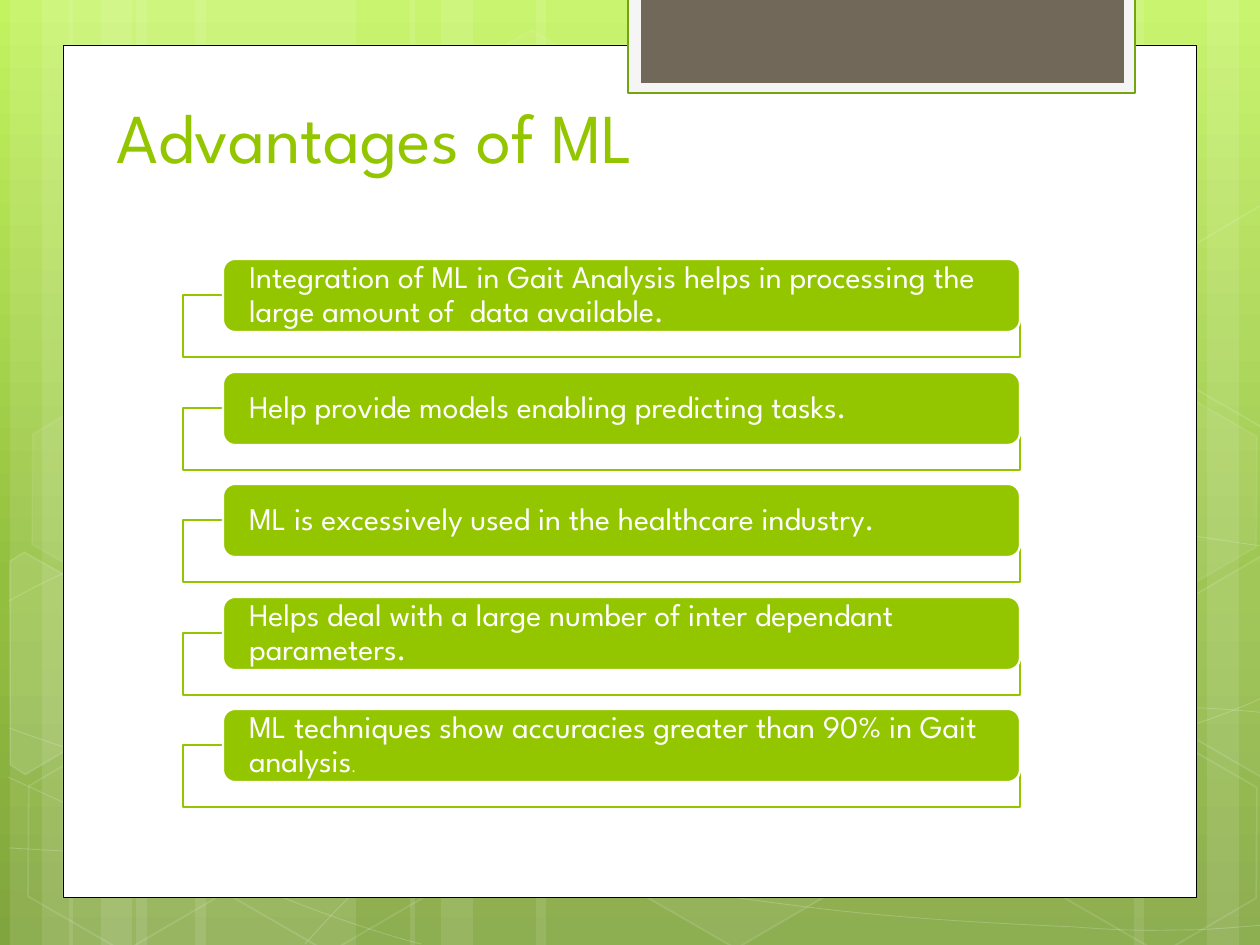
import math
from copy import deepcopy
from dataclasses import dataclass
from typing import Optional

from lxml import etree
from pptx import Presentation
from pptx import util as u
from pptx.dml.color import RGBColor
from pptx.enum import shapes, text
from pptx.oxml import ns

SCALE = u.Inches(1) / 126
WIDTH, HEIGHT = 1260, 945
FONT = "League Spartan"
TILT = 30

WHITE = RGBColor(0xFF, 0xFF, 0xFF)
BLACK = RGBColor(0x00, 0x00, 0x00)
GREEN = RGBColor(0x94, 0xC6, 0x00)
DARK_GREEN = RGBColor(0x74, 0xA5, 0x10)
PALE_GREY = RGBColor(0xF5, 0xF5, 0xF5)
BROWN = RGBColor(0x71, 0x68, 0x5A)
BACKGROUND_STOPS = (
    (0, RGBColor(0xC3, 0xF3, 0x5F)),
    (0.62, RGBColor(0x93, 0xBF, 0x3F)),
    (1, RGBColor(0x81, 0xA5, 0x3E)),
)

Points = list[tuple[float, float]]


@dataclass(frozen=True)
class Box:
    left: int
    top: int
    width: int
    height: int


@dataclass(frozen=True)
class Style:
    fill: Optional[RGBColor] = None
    fill_alpha: int = 100
    line: Optional[RGBColor] = None
    line_width: float = 1
    line_alpha: int = 100


@dataclass(frozen=True)
class Hexagon:
    left: int
    top: int
    fill_alpha: int
    line_alpha: int


@dataclass(frozen=True)
class CutHexagon:
    center: tuple[int, int]
    points: Points
    fill_alpha: int


@dataclass(frozen=True)
class Run:
    words: str
    size: int = 18


STRIPES = [
    (136, 220), (10, 63), (42, 105), (195, 220), (69, 63), (101, 105),
    (924, 220), (1207, 63), (1134, 105), (536, 388), (410, 63), (441, 105),
]

CURVES: list[Points] = [
    [(9, 848), (77, 852), (145, 856), (239, 854), (334, 853), (451, 851), (577, 838),
     (703, 825), (882, 801), (998, 777), (1113, 753), (1231, 716), (1269, 694)],
    [(9, 601), (45, 581), (82, 562), (152, 543), (224, 524), (326, 496), (437, 488),
     (556, 479), (685, 478), (824, 488), (963, 498), (1193, 537), (1269, 547)],
    [(8, 777), (160, 847), (311, 916), (421, 944)],
    [(9, 728), (48, 742), (88, 756), (161, 776), (234, 795), (344, 827), (450, 848),
     (554, 869), (687, 892), (791, 905), (896, 919), (1008, 924), (1075, 927),
     (1140, 932), (1158, 930), (1191, 930), (1223, 929), (1246, 926), (1269, 925)],
    [(305, 944), (328, 919), (350, 893), (381, 871), (411, 848), (454, 823), (489, 805),
     (524, 787), (546, 780), (592, 767), (638, 755), (722, 737), (766, 728),
     (811, 719), (818, 719), (857, 717), (896, 713), (958, 709), (1000, 708),
     (1045, 707), (1116, 708), (1116, 708), (1144, 708), (1173, 708), (1201, 708),
     (1223, 709), (1245, 711), (1256, 712), (1264, 713), (1260, 712), (1268, 713)],
]

HEXAGONS = [
    Hexagon(421, 45, 4, 8), Hexagon(626, 742, 6, 12), Hexagon(14, 745, 0, 12),
    Hexagon(18, 393, 7, 8), Hexagon(219, 746, 0, 12), Hexagon(949, 571, 10, 12),
    Hexagon(1051, 747, 0, 12), Hexagon(1051, 396, 7, 8),
]

CUT_HEXAGONS = [
    CutHexagon((45, 674), [(10, 561), (24, 552), (121, 607), (120, 718), (25, 774),
                           (10, 765)], 10),
    CutHexagon((1241, 655), [(1167, 611), (1261, 556), (1271, 562), (1271, 772),
                             (1263, 777), (1167, 722)], 4),
    CutHexagon((1241, 304), [(1167, 261), (1261, 205), (1272, 212), (1271, 422),
                             (1263, 427), (1167, 372)], 0),
]

ADVANTAGES = [
    [Run("Integration of ML in Gait Analysis helps in processing the "
         "large amount of  data available.")],
    [Run("Help provide models enabling predicting tasks.")],
    [Run("ML is excessively used in the healthcare industry.")],
    [Run("Helps deal with a large number of inter dependant parameters.")],
    [Run("ML techniques show accuracies greater than 90% in Gait analysis"), Run(".", 9)],
]


def px(value: float) -> int:
    return round(value * SCALE)


def extent(box: Box) -> tuple[int, ...]:
    return tuple(px(value) for value in (box.left, box.top, box.width, box.height))


def set_alpha(properties, percent: int) -> None:
    color = properties.find(ns.qn("a:solidFill")).find(ns.qn("a:srgbClr"))
    etree.SubElement(color, ns.qn("a:alpha"), val=str(percent * 1000))


def apply_style(shape, style: Style) -> None:
    shape.shadow.inherit = False
    if style.fill is None or style.fill_alpha == 0:
        shape.fill.background()
    else:
        shape.fill.solid()
        shape.fill.fore_color.rgb = style.fill
        if style.fill_alpha < 100:
            set_alpha(shape.element.spPr, style.fill_alpha)
    if style.line is None:
        shape.line.fill.background()
    else:
        shape.line.color.rgb = style.line
        shape.line.width = u.Pt(style.line_width)
        if style.line_alpha < 100:
            set_alpha(shape.element.spPr.find(ns.qn("a:ln")), style.line_alpha)


def add_box(slide, kind, box: Box, style: Style):
    shape = slide.shapes.add_shape(kind, *extent(box))
    apply_style(shape, style)
    return shape


def add_outline(slide, points: Points, style: Style, close: bool):
    builder = slide.shapes.build_freeform(*points[0], scale=SCALE)
    builder.add_line_segments(points[1:], close=close)
    shape = builder.convert_to_shape()
    apply_style(shape, style)
    return shape


def add_curve(slide, controls: Points, style: Style) -> None:
    shape = add_outline(slide, controls, style, False)
    outline = shape.element.find(".//" + ns.qn("a:path"))
    lines = outline.findall(ns.qn("a:lnTo"))
    for start in range(0, len(lines), 3):
        bezier = etree.SubElement(outline, ns.qn("a:cubicBezTo"))
        for line in lines[start:start + 3]:
            bezier.append(line[0])
            outline.remove(line)


def untilt(points: Points, center: tuple[int, int]) -> Points:
    cosine, sine = math.cos(math.radians(TILT)), math.sin(math.radians(TILT))
    offsets = [(x - center[0], y - center[1]) for x, y in points]
    return [(center[0] + x * cosine + y * sine, center[1] - x * sine + y * cosine)
            for x, y in offsets]


def write_line(frame, runs: list[Run], color: RGBColor):
    paragraph = frame.paragraphs[0]
    paragraph.alignment = text.PP_ALIGN.LEFT
    for run in runs:
        piece = paragraph.add_run()
        piece.text = run.words
        piece.font.name = FONT
        piece.font.size = u.Pt(run.size)
        piece.font.color.rgb = color
    return paragraph


def paint_background(slide) -> None:
    fill = slide.background.fill
    fill.gradient()
    fill.gradient_angle = 270
    stops = slide.background.element.find(".//" + ns.qn("a:gsLst"))
    stops.append(deepcopy(stops[-1]))
    for stop, (position, color) in zip(fill.gradient_stops, BACKGROUND_STOPS):
        stop.position = position
        stop.color.rgb = color


def draw_decoration(slide) -> None:
    for left, width in STRIPES:
        add_box(slide, shapes.MSO_SHAPE.RECTANGLE, Box(left, 0, width, HEIGHT),
                Style(WHITE, 10))
    for curve in CURVES:
        add_curve(slide, curve, Style(line=WHITE, line_width=0.5, line_alpha=20))
    for item in HEXAGONS:
        hexagon = add_box(slide, shapes.MSO_SHAPE.HEXAGON,
                          Box(item.left, item.top, 220, 192),
                          Style(WHITE, item.fill_alpha, WHITE, 1, item.line_alpha))
        hexagon.adjustments[0] = 0.285
        hexagon.rotation = TILT
    for cut in CUT_HEXAGONS:
        outline = add_outline(slide, untilt(cut.points, cut.center),
                              Style(WHITE, cut.fill_alpha, WHITE, 1, 12), True)
        outline.rotation = TILT


def draw_frame(slide) -> None:
    for box, style in (
        (Box(63, 45, 1134, 853), Style(WHITE, line=BLACK, line_width=0.5)),
        (Box(628, -3, 507, 96), Style(PALE_GREY, line=DARK_GREEN, line_width=1.25)),
        (Box(641, -3, 483, 86), Style(BROWN)),
    ):
        add_box(slide, shapes.MSO_SHAPE.RECTANGLE, box, style)


def write_title(slide) -> None:
    title = slide.shapes.title
    title.element.getparent().append(title.element)
    title.left, title.top, title.width, title.height = extent(Box(104, 26, 968, 158))
    title.text_frame.vertical_anchor = text.MSO_ANCHOR.BOTTOM
    write_line(title.text_frame, [Run("Advantages of ML", 40)], GREEN)


def draw_advantage(slide, top: int, runs: list[Run]) -> None:
    add_box(slide, shapes.MSO_SHAPE.RECTANGLE, Box(183, top + 36, 837, 62),
            Style(WHITE, 90, GREEN, 1.25))
    add_box(slide, shapes.MSO_SHAPE.ROUNDED_RECTANGLE, Box(223, top, 797, 73),
            Style(GREEN, line=WHITE, line_width=1.25))
    frame = slide.shapes.add_textbox(*extent(Box(226, top + 4, 790, 65))).text_frame
    frame.word_wrap = True
    frame.vertical_anchor = text.MSO_ANCHOR.MIDDLE
    frame.margin_left = frame.margin_right = px(23)
    frame.margin_top = frame.margin_bottom = 0
    write_line(frame, runs, WHITE).line_spacing = 0.9


def main() -> None:
    presentation = Presentation()
    presentation.slide_width, presentation.slide_height = px(WIDTH), px(HEIGHT)
    slide = presentation.slides.add_slide(presentation.slide_layouts[5])
    paint_background(slide)
    draw_decoration(slide)
    draw_frame(slide)
    write_title(slide)
    for index, runs in enumerate(ADVANTAGES):
        draw_advantage(slide, 259 + (index * 225 + 1) // 2, runs)
    presentation.save("out.pptx")


if __name__ == "__main__":
    main()
